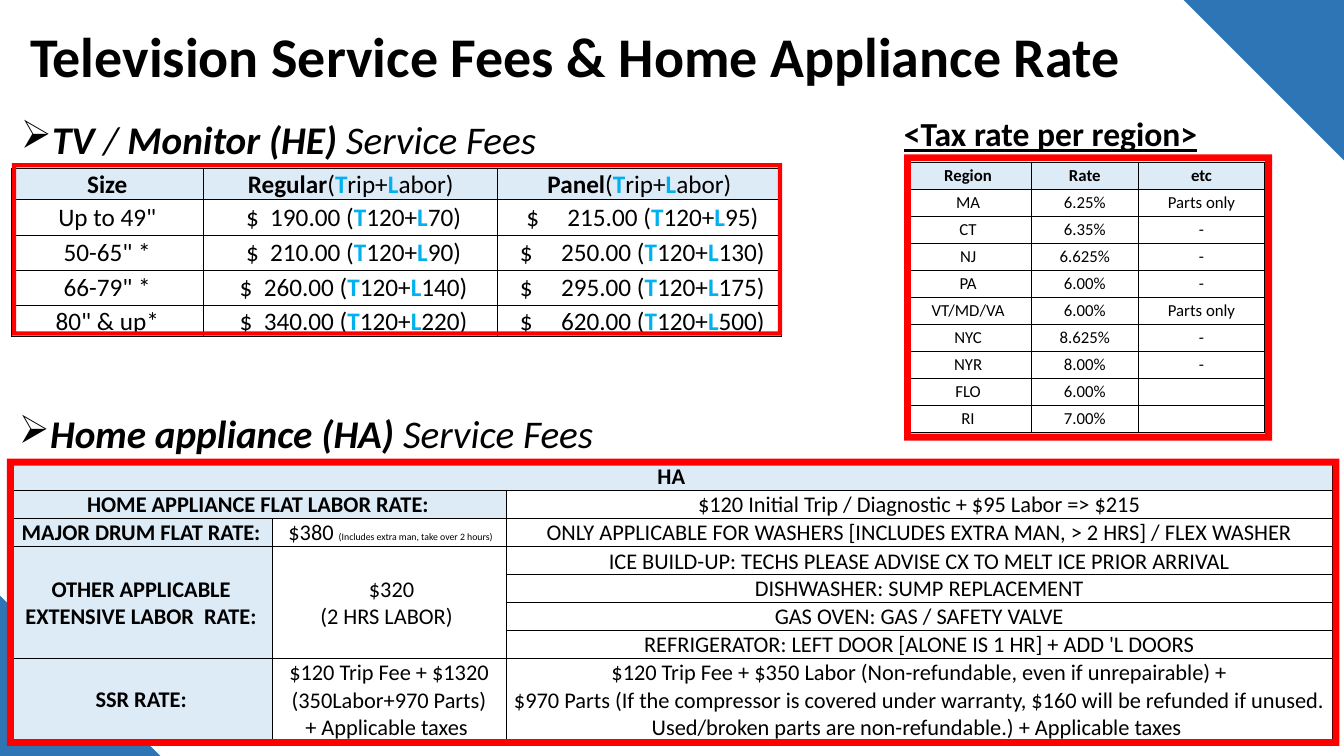
from dataclasses import dataclass

from lxml.etree import SubElement
from pptx import Presentation
from pptx.dml.color import RGBColor
from pptx.enum.shapes import MSO_SHAPE as Preset
from pptx.enum.text import MSO_ANCHOR as Anchor, PP_ALIGN as Align
from pptx.oxml.ns import qn
from pptx.slide import Slide
from pptx.table import _Cell as TableCell
from pptx.text.text import _Paragraph as Paragraph
from pptx.util import Pt


@dataclass(frozen=True)
class Theme:
    font: str = "Calibri"
    ink: str = "000000"
    paper: str = "FFFFFF"
    label: str = "DDEBF7"
    accent: str = "00B0F0"
    corner: str = "2E75B6"
    frame: str = "FF0000"
    title: float = 40
    heading: float = 28
    tax_heading: float = 24
    tv: float = 18
    ha: float = 16
    tax: float = 12
    note: float = 7
    border: float = 0.5


THEME = Theme()


@dataclass(frozen=True)
class Box:
    left: float
    top: float
    width: float
    height: float

    def lengths(self) -> tuple[Pt, Pt, Pt, Pt]:
        return Pt(self.left), Pt(self.top), Pt(self.width), Pt(self.height)


@dataclass(frozen=True)
class Run:
    text: str
    bold: bool = False
    italic: bool = False
    underline: bool = False
    color: str = THEME.ink
    size: float | None = None
    spacing: float = 0


@dataclass(frozen=True)
class Cell:
    paragraphs: tuple[tuple[Run, ...], ...] = ()
    fill: str = THEME.paper
    anchor: Anchor = Anchor.MIDDLE
    row_span: int = 1
    col_span: int = 1


@dataclass(frozen=True)
class Grid:
    box: Box
    columns: tuple[float, ...]
    rows: tuple[float, ...]
    size: float
    cells: dict[tuple[int, int], Cell]


@dataclass(frozen=True)
class Heading:
    box: Box
    runs: tuple[Run, ...]
    size: float
    bullet: str = ""
    space_before: float = 10
    anchor: Anchor = Anchor.TOP


def plain(text: str, **options) -> Cell:
    return Cell(((Run(text),),), **options)


def label(text: str, **options) -> Cell:
    return Cell(((Run(text, bold=True),),), fill=THEME.label, **options)


def trip_labor(trip: str, labor: str) -> tuple[Run, ...]:
    return (Run("T", bold=True, color=THEME.accent), Run(trip),
            Run("L", bold=True, color=THEME.accent), Run(labor))


def price(labor: int, gap: float) -> Cell:
    amount = (Run(" "), Run("$", spacing=gap), Run(f" {TRIP_FEE + labor}.00 ("))
    return Cell(((*amount, *trip_labor(f"{TRIP_FEE}+", f"{labor})")),))


def write_runs(paragraph: Paragraph, runs: tuple[Run, ...], size: float) -> None:
    for part in runs:
        for number, line in enumerate(part.text.split("\n")):
            if number:
                paragraph.add_line_break()
            run = paragraph.add_run()
            run.text = line
            font = run.font
            font.name, font.size = THEME.font, Pt(part.size or size)
            font.bold, font.italic, font.underline = part.bold, part.italic, part.underline
            font.color.rgb = RGBColor.from_string(part.color)
            if part.spacing:
                run._r.get_or_add_rPr().set("spc", str(round(part.spacing * 100)))


def add_heading(slide: Slide, heading: Heading) -> None:
    frame = slide.shapes.add_textbox(*heading.box.lengths()).text_frame
    frame.word_wrap, frame.vertical_anchor = True, heading.anchor
    paragraph = frame.paragraphs[0]
    paragraph.line_spacing, paragraph.space_before = 0.9, Pt(heading.space_before)
    if heading.bullet:
        properties = paragraph._p.get_or_add_pPr()
        properties.set("marL", str(Pt(18)))
        properties.set("indent", str(-Pt(18)))
        SubElement(properties, qn("a:buChar"), char=heading.bullet)
    write_runs(paragraph, heading.runs, heading.size)


def add_preset(slide: Slide, preset: Preset, box: Box, color: str, rotation: float = 0) -> None:
    shape = slide.shapes.add_shape(preset, *box.lengths())
    shape.shadow.inherit = False
    shape.rotation = rotation
    shape.fill.solid()
    shape.fill.fore_color.rgb = RGBColor.from_string(color)
    shape.line.fill.background()
    if preset == Preset.FRAME:
        shape.adjustments[0] = 0.024


def style_cell(target: TableCell, content: Cell, size: float) -> None:
    target.margin_left = target.margin_right = target.margin_top = Pt(0.72)
    target.margin_bottom = Pt(0)
    target.vertical_anchor = content.anchor
    properties = target._tc.get_or_add_tcPr()
    for side in ("lnL", "lnR", "lnT", "lnB"):
        border = SubElement(properties, qn(f"a:{side}"), w=str(Pt(THEME.border)))
        SubElement(SubElement(border, qn("a:solidFill")), qn("a:srgbClr"), val=THEME.ink)
    target.fill.solid()
    target.fill.fore_color.rgb = RGBColor.from_string(content.fill)
    frame = target.text_frame
    for number, runs in enumerate(content.paragraphs):
        paragraph = frame.add_paragraph() if number else frame.paragraphs[0]
        paragraph.alignment = Align.CENTER
        write_runs(paragraph, runs, size)
    if not content.paragraphs:
        SubElement(frame.paragraphs[0]._p, qn("a:endParaRPr"), sz=str(round(size * 100)))


def add_grid(slide: Slide, grid: Grid) -> None:
    holder = slide.shapes.add_table(len(grid.rows), len(grid.columns), *grid.box.lengths())
    table = holder.table
    table.first_row = table.horz_banding = False
    for column, width in zip(table.columns, grid.columns):
        column.width = Pt(width)
    for row, height in zip(table.rows, grid.rows):
        row.height = Pt(height)
    for r in range(len(grid.rows)):
        for c in range(len(grid.columns)):
            style_cell(table.cell(r, c), grid.cells.get((r, c), Cell()), grid.size)
    for (r, c), content in grid.cells.items():
        if content.row_span * content.col_span > 1:
            table.cell(r, c).merge(table.cell(r + content.row_span - 1, c + content.col_span - 1))
    holder.height = Pt(grid.box.height)


TRIP_FEE = 120
TV_LABOR = (('Up to 49"', 70, 95), ('50-65" *', 90, 130), ('66-79" *', 140, 175), ('80" & up*', 220, 500))
TV_CELLS = {(0, 0): label("Size")}
for column, kind in enumerate(("Regular", "Panel"), 1):
    TV_CELLS[0, column] = Cell(((Run(kind, bold=True), Run("("), *trip_labor("rip+", "abor)")),), THEME.label)
for row, (screen, regular, panel) in enumerate(TV_LABOR, 1):
    TV_CELLS |= {(row, 0): plain(screen), (row, 1): price(regular, 4.07), (row, 2): price(panel, 16.27)}

TAXES = (("MA", "6.25%", "Parts only"), ("CT", "6.35%", "-"), ("NJ", "6.625%", "-"), ("PA", "6.00%", "-"),
         ("VT/MD/VA", "6.00%", "Parts only"), ("NYC", "8.625%", "-"), ("NYR", "8.00%", "-"),
         ("FLO", "6.00%"), ("RI", "7.00%"))
TAX_CELLS = {(0, c): label(text) for c, text in enumerate(("Region", "Rate", "etc"))}
TAX_CELLS |= {(r, c): plain(text) for r, tax in enumerate(TAXES, 1) for c, text in enumerate(tax)}

REPAIRS = ("ICE BUILD-UP: TECHS PLEASE ADVISE CX TO MELT ICE PRIOR ARRIVAL", "DISHWASHER: SUMP REPLACEMENT",
           "GAS OVEN: GAS / SAFETY VALVE", "REFRIGERATOR: LEFT DOOR [ALONE IS 1 HR] + ADD 'L DOORS")
HA_CELLS = {
    (0, 0): label("HA", anchor=Anchor.BOTTOM, col_span=3),
    (1, 0): label("HOME APPLIANCE FLAT LABOR RATE:", anchor=Anchor.BOTTOM, col_span=2),
    (1, 2): plain("$120 Initial Trip / Diagnostic + $95 Labor => $215", anchor=Anchor.BOTTOM),
    (2, 0): label("MAJOR DRUM FLAT RATE:"),
    (2, 1): Cell(((Run(" $380 "), Run("(Includes extra man, take over 2 hours) ", size=THEME.note)),)),
    (2, 2): plain("ONLY APPLICABLE FOR WASHERS [INCLUDES EXTRA MAN, > 2 HRS] / FLEX WASHER"),
    (3, 0): label("OTHER APPLICABLE\nEXTENSIVE LABOR  RATE:", row_span=4),
    (3, 1): plain(" $320\n(2 HRS LABOR) ", row_span=4),
    **{(r, 2): plain(repair, anchor=Anchor.BOTTOM) for r, repair in enumerate(REPAIRS, 3)},
    (7, 0): label("SSR RATE:"),
    (7, 1): plain("$120 Trip Fee + $1320 (350Labor+970 Parts)\n+ Applicable taxes "),
    (7, 2): Cell(((Run("$120 Trip Fee + $350 Labor (Non-refundable, even if unrepairable) +"),),
                  (Run("$970 Parts (If the compressor is covered under warranty, $160 will be refunded if unused. "
                       "Used/broken parts are non-refundable.) + Applicable taxes "),)), anchor=Anchor.BOTTOM),
}


def main() -> None:
    """Build the service fee slide and save it."""
    deck = Presentation()
    deck.slide_width, deck.slide_height = Pt(960), Pt(540)
    slide = deck.slides.add_slide(deck.slide_layouts[6])
    add_heading(slide, Heading(Box(14.4, 15.1, 854.6, 54.7), (
        Run("Television Service Fees & Home Appliance Rate", bold=True),), THEME.title, "", 0, Anchor.MIDDLE))
    add_preset(slide, Preset.RIGHT_TRIANGLE, Box(845.5, 0, 114.5, 114.5), THEME.corner, 180)
    add_grid(slide, Grid(Box(7.9, 120.2, 550, 119.5), (137.5, 210.2, 202.3),
                         (20.2, 25.2, 25.2, 25.2, 12.2), THEME.tv, TV_CELLS))
    add_preset(slide, Preset.FRAME, Box(8.6, 116.6, 550.1, 123.1), THEME.frame)
    add_heading(slide, Heading(Box(7.9, 82.8, 450.7, 33.1), (
        Run("TV ", True, True), Run("/ ", False, True), Run("Monitor (HE)", True, True),
        Run(" Service Fees", False, True)), THEME.heading, "➢"))
    add_heading(slide, Heading(Box(6.5, 293, 450.7, 33.1), (
        Run("Home appliance (HA) ", True, True), Run("Service Fees", False, True)), THEME.heading, "➢"))
    add_grid(slide, Grid(Box(646.6, 115.9, 256.6, 193), (89.8, 77, 89.8), (19.3,) * 10, THEME.tax, TAX_CELLS))
    add_preset(slide, Preset.FRAME, Box(645.8, 110.2, 262.8, 204.5), THEME.frame)
    add_heading(slide, Heading(Box(638.6, 80.6, 284.4, 33.1), (
        Run("<Tax rate per region>", bold=True, underline=True),), THEME.tax_heading))
    add_preset(slide, Preset.RIGHT_TRIANGLE, Box(0, 425.5, 114.5, 114.5), THEME.corner)
    add_grid(slide, Grid(Box(7.2, 330.5, 944.6, 198.7), (187.2, 167, 590.4),
                         (19.4, 19.4, 20.2, 19.4, 19.4, 19.4, 10.1, 10.1), THEME.ha, HA_CELLS))
    add_preset(slide, Preset.FRAME, Box(5, 327.6, 951.8, 205.2), THEME.frame)
    deck.save("out.pptx")


if __name__ == "__main__":
    main()
